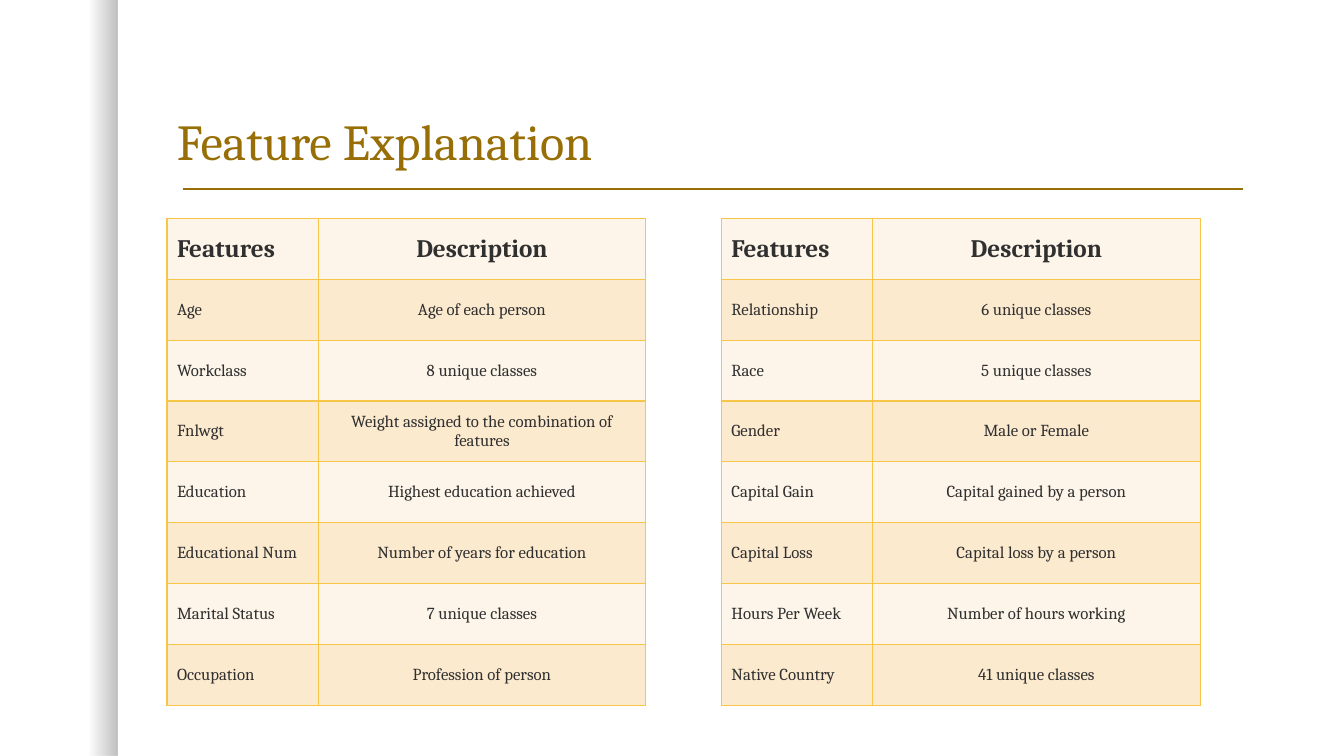
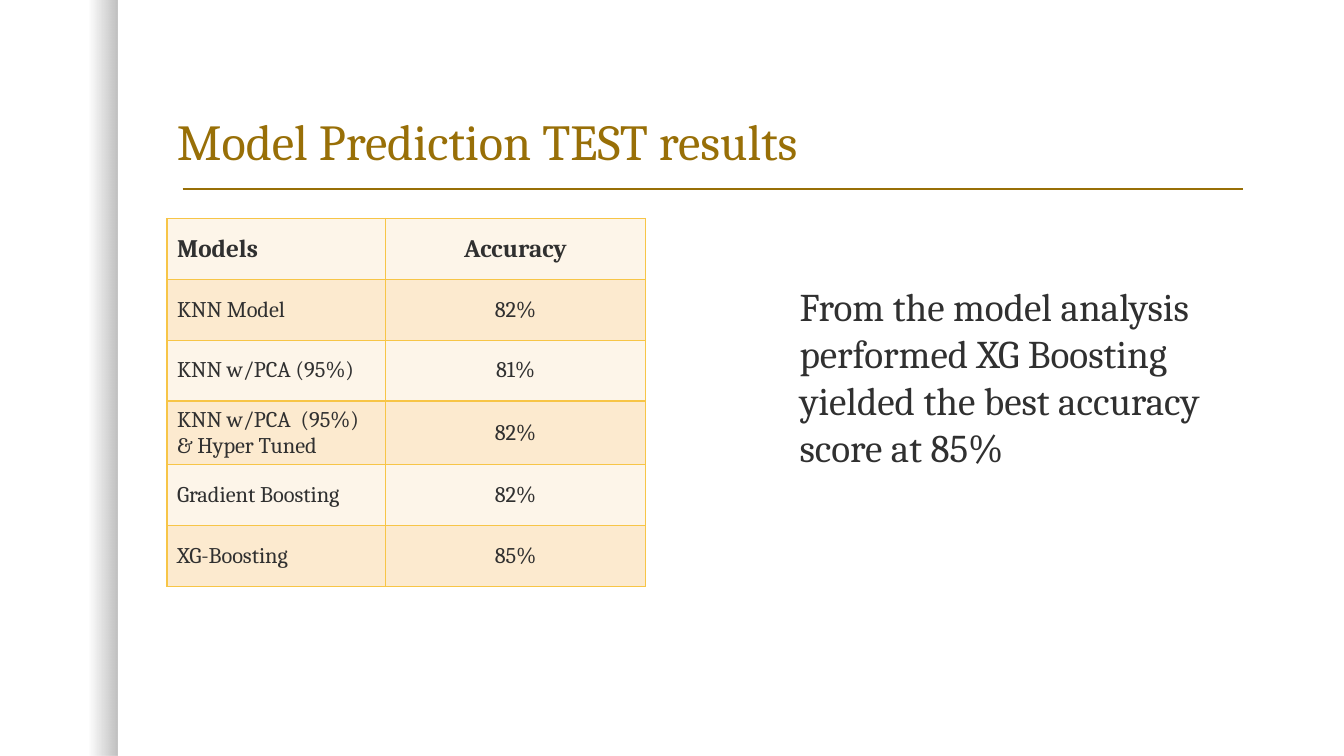
"""Build two slides: a feature glossary and model test results."""
from lxml import etree
from pptx import Presentation
from pptx.dml.color import RGBColor
from pptx.enum import shapes, text
from pptx.oxml import ns
from pptx import util as u

PX = 9525
WIDE, HIGH = 1280, 720
FONT = "Cambria"
GOLD, INK, EDGE = "986F07", "303030", "F7C547"
BANDS = ["FDF5E9", "FCEACF"]
LEFT, TOP, ROW = 159, 208, 58
LEFT_ALIGN, CENTER = text.PP_ALIGN.LEFT, text.PP_ALIGN.CENTER

TRAITS = [
    ("Features", "Description"),
    ("Age", "Age of each person"),
    ("Workclass", "8 unique classes"),
    ("Fnlwgt", "Weight assigned to the combination of features"),
    ("Education", "Highest education achieved"),
    ("Educational Num", "Number of years for education"),
    ("Marital Status", "7 unique classes"),
    ("Occupation", "Profession of person"),
]
MORE = [
    ("Features", "Description"),
    ("Relationship", "6 unique classes"),
    ("Race", "5 unique classes"),
    ("Gender", "Male or Female"),
    ("Capital Gain", "Capital gained by a person"),
    ("Capital Loss", "Capital loss by a person"),
    ("Hours Per Week", "Number of hours working"),
    ("Native Country", "41 unique classes"),
]
SCORES = [
    ("Models", "Accuracy"),
    ("KNN Model", "82%"),
    ("KNN w/PCA (95%)", "81%"),
    ("KNN w/PCA  (95%) & Hyper Tuned", "82%"),
    ("Gradient Boosting", "82%"),
    ("XG-Boosting", "85%"),
]
NOTE = ("From the model analysis performed XG Boosting "
        "yielded the best accuracy score at 85%")
SLIDES = [
    {"title": "Feature Explanation",
     "grids": [(LEFT, (144, 312), 12, TRAITS), (687, (144, 312), 12, MORE)]},
    {"title": "Model Prediction TEST results",
     "grids": [(LEFT, (208, 248), 16, SCORES)],
     "note": NOTE},
]


def px(*vals):
    return [u.Emu(val * PX) for val in vals]


def hue(code):
    return RGBColor.from_string(code)


def write(frame, words, size, color=INK, bold=False, align=LEFT_ALIGN, space=None):
    para = frame.paragraphs[0]
    para.alignment = align
    para.line_spacing = space
    run = para.add_run()
    run.text = words
    font = run.font
    font.name, font.size, font.bold = FONT, u.Pt(size), bold
    font.color.rgb = hue(color)


def add_text(slide, area, words, size, anchor=text.MSO_ANCHOR.TOP, **form):
    frame = slide.shapes.add_textbox(*px(*area)).text_frame
    frame.word_wrap = True
    frame.vertical_anchor = anchor
    write(frame, words, size, **form)


def add_shade(slide):
    shade = slide.shapes.add_shape(shapes.MSO_SHAPE.RECTANGLE, *px(0, 0, 112, HIGH))
    shade.shadow.inherit = False
    shade.line.fill.background()
    shade.fill.gradient()
    shade.fill.gradient_angle = 0
    for stop, spot in zip(shade.fill.gradient_stops, (0.75, 1)):
        stop.position = spot
        stop.color.rgb = hue("000000")
    tints = shade.fill._xPr.iter(ns.qn("a:srgbClr"))
    for tint, alpha in zip(tints, (0, 25000)):
        etree.SubElement(tint, ns.qn("a:alpha"), val=str(alpha))


def add_rule(slide):
    rule = slide.shapes.add_connector(
        shapes.MSO_CONNECTOR.STRAIGHT, *px(174, 180, 1184, 180))
    rule.line.color.rgb = hue(GOLD)
    rule.line.width = u.Pt(1)
    etree.SubElement(rule._element.spPr, ns.qn("a:effectLst"))


def add_edges(cell):
    props = cell._tc.get_or_add_tcPr()
    for side in "LRTB":
        line = etree.SubElement(props, ns.qn("a:ln" + side), w=str(u.Pt(1)))
        fill = etree.SubElement(line, ns.qn("a:solidFill"))
        etree.SubElement(fill, ns.qn("a:srgbClr"), val=EDGE)


def add_grid(slide, left, cols, size, rows):
    area = px(left, TOP, sum(cols), ROW * len(rows))
    table = slide.shapes.add_table(len(rows), len(cols), *area).table
    table.first_row = table.horz_banding = False
    for col, width in zip(table.columns, px(*cols)):
        col.width = width
    for r, row in enumerate(rows):
        table.rows[r].height = px(ROW)[0]
        head = r == 0
        for c, words in enumerate(row):
            cell = table.cell(r, c)
            add_edges(cell)
            cell.fill.solid()
            cell.fill.fore_color.rgb = hue(BANDS[r % 2])
            cell.vertical_anchor = text.MSO_ANCHOR.MIDDLE
            write(cell.text_frame, words, 18 if head else size, bold=head,
                  align=CENTER if c else LEFT_ALIGN)


def main():
    deck = Presentation()
    deck.slide_width, deck.slide_height = px(WIDE, HIGH)
    for page in SLIDES:
        slide = deck.slides.add_slide(deck.slide_layouts[6])
        add_shade(slide)
        add_rule(slide)
        add_text(slide, (LEFT, 40, 1032, 128), page["title"], 36,
                 anchor=text.MSO_ANCHOR.BOTTOM, color=GOLD, space=0.9)
        for grid in page["grids"]:
            add_grid(slide, *grid)
        if "note" in page:
            add_text(slide, (752, 264, 400, 236), page["note"], 28)
    deck.save("out.pptx")


if __name__ == "__main__":
    main()
